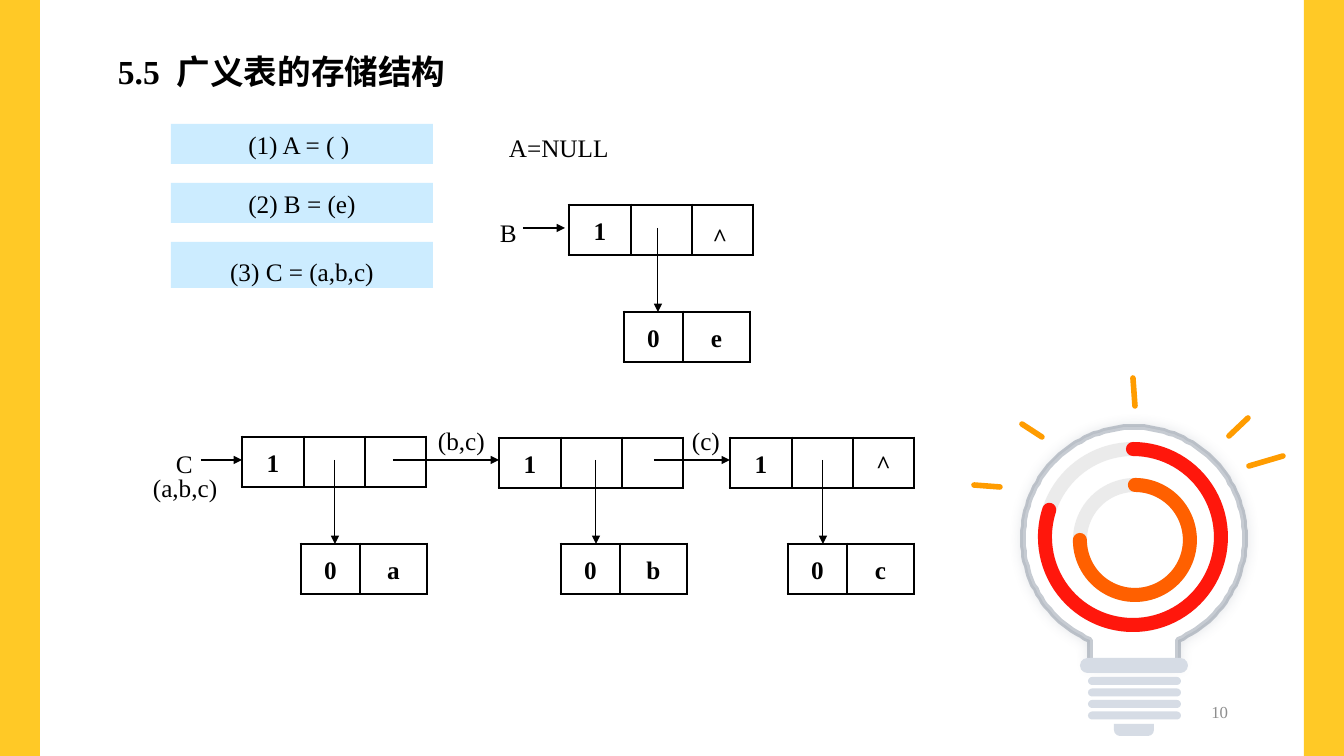
"""Slide on the storage structure of generalized lists, with node diagrams and a light bulb."""
import math
from lxml import etree
from pptx import Presentation, util as u
from pptx.dml.color import RGBColor
from pptx.enum import shapes, text
from pptx.oxml.ns import qn

PX = u.Inches(1) / 100.8
FONT = "Times New Roman"
BLACK = RGBColor(0, 0, 0)
WHITE = RGBColor(0xFF, 0xFF, 0xFF)
YELLOW = RGBColor(0xFF, 0xC9, 0x26)
PALE_BLUE = RGBColor(0xCC, 0xEC, 0xFF)
GREY = RGBColor(0x8E, 0x8E, 0x8E)
SLATE = RGBColor(0x44, 0x54, 0x6A)
SILVER = RGBColor(0xD6, 0xDC, 0xE5)
TRACK = RGBColor(0xD9, 0xD9, 0xD9)
RED = RGBColor(0xFF, 0x17, 0x0C)
ORANGE = RGBColor(0xFF, 0x60, 0x00)
AMBER = RGBColor(0xFF, 0x9C, 0x00)
LEFT, CENTER, RIGHT = text.PP_ALIGN.LEFT, text.PP_ALIGN.CENTER, text.PP_ALIGN.RIGHT
TOP, MIDDLE = text.MSO_ANCHOR.TOP, text.MSO_ANCHOR.MIDDLE
SHAPE = shapes.MSO_SHAPE


def write(frame, words, size=18, color=BLACK, bold=False, align=LEFT, spacing=1.0, anchor=TOP):
    frame.word_wrap = True
    frame.vertical_anchor = anchor
    paragraph = frame.paragraphs[0]
    paragraph.text = words
    paragraph.alignment = align
    paragraph.line_spacing = spacing
    paragraph.font.name = FONT
    paragraph.font.size = u.Pt(size)
    paragraph.font.bold = bold
    paragraph.font.color.rgb = color


def stroke(shape, color, width, opacity=100, arrow=False, cap="flat"):
    shape.line.color.rgb = color
    shape.line.width = u.Pt(width)
    properties = shape._element.spPr
    line = properties.find(qn("a:ln"))
    line.set("cap", cap)
    if opacity < 100:
        tint = line.find(".//" + qn("a:srgbClr"))
        etree.SubElement(tint, qn("a:alpha"), val=str(opacity * 1000))
    if arrow:
        etree.SubElement(line, qn("a:tailEnd"), type="triangle")
    return etree.SubElement(properties, qn("a:effectLst"))


presentation = Presentation()
presentation.slide_width = round(1344 * PX)
presentation.slide_height = round(756 * PX)
slide = presentation.slides.add_slide(presentation.slide_layouts[6])

blocks = [(SHAPE.RECTANGLE, x, 0, 40, 756, YELLOW) for x in (0, 1304)]
blocks += [(SHAPE.ROUNDED_RECTANGLE, 1088, 677 + 23 * i / 2, 93, 8, SILVER) for i in range(4)]
blocks += [(SHAPE.ROUNDED_RECTANGLE, 1080, 658, 108, 15, SILVER),
           (SHAPE.ROUND_2_SAME_RECTANGLE, 1114, 724, 40, 12, SILVER)]

definitions = [
    ("(1) A = ( ) ", 124, 40, 1.0),
    ("(2) B = (e)", 183, 40, 1.0),
    ("(3) C = (a,b,c)", 242, 46, 1.3),
]
for words, y, height, spacing in definitions:
    shape = slide.shapes.add_shape(
        SHAPE.RECTANGLE, *[round(n * PX) for n in (171, y, 262, height)])
    shape.shadow.inherit = False
    shape.fill.solid()
    shape.fill.fore_color.rgb = PALE_BLUE
    shape.line.fill.background()
    write(shape.text_frame, words, align=CENTER, spacing=spacing)

labels = [
    ("5.5  广义表的存储结构", 108, 34, 672, 57, dict(size=24, bold=True, spacing=1.3)),
    ("A=NULL", 499, 118, 328, 46, dict(spacing=1.3)),
    ("B", 490, 203, 42, 46, dict(spacing=1.3)),
    ("C", 166, 434, 42, 46, dict(spacing=1.3)),
    ("^", 699, 207, 42, 46, dict(bold=True, align=CENTER, spacing=1.3)),
    ("(a,b,c)", 143, 467, 98, 40, {}),
    ("(b,c)", 428, 420, 73, 40, {}),
    ("(c)", 682, 420, 69, 40, {}),
    ("10", 941, 694, 297, 35, dict(size=12, color=GREY, align=RIGHT, anchor=MIDDLE)),
]
for words, *box, style in labels:
    label = slide.shapes.add_textbox(*[round(n * PX) for n in box])
    write(label.text_frame, words, **style)

LIST_NODE, ATOM_NODE = (62, 61, 61), (59, 67)
nodes = [
    (569, 205, LIST_NODE, ("1", "", "")),
    (624, 312, ATOM_NODE, ("0", "e")),
    (242, 437, LIST_NODE, ("1", "", "")),
    (499, 438, LIST_NODE, ("1", "", "")),
    (730, 438, LIST_NODE, ("1", "", "^")),
    (301, 544, ATOM_NODE, ("0", "a")),
    (561, 544, ATOM_NODE, ("0", "b")),
    (788, 544, ATOM_NODE, ("0", "c")),
]
for x, y, widths, values in nodes:
    box = [round(n * PX) for n in (x, y, sum(widths), 50)]
    table = slide.shapes.add_table(1, len(widths), *box).table
    table.first_row = table.horz_banding = False
    last = len(widths) - 1
    for i, (width, value) in enumerate(zip(widths, values)):
        table.columns[i].width = round(width * PX)
        cell = table.cell(0, i)
        cell.fill.background()
        write(cell.text_frame, value, bold=True, align=CENTER, spacing=1.3)
        edges = {"a:lnL": 1 if i else 2.25, "a:lnR": 1 if i < last else 2.25,
                 "a:lnT": 2.25, "a:lnB": 2.25}
        for position, (tag, weight) in enumerate(edges.items()):
            edge = etree.Element(qn(tag), w=str(u.Pt(weight)))
            fill = etree.SubElement(edge, qn("a:solidFill"))
            etree.SubElement(fill, qn("a:srgbClr"), val=str(BLACK))
            cell._tc.tcPr.insert(position, edge)

arrows = [(523, 228, 565, 228), (658, 228, 658, 312),
          (201, 460, 242, 460), (393, 460, 499, 460), (654, 460, 730, 460)]
arrows += [(x, 460, x, 544) for x in (335, 596, 823)]
rays = [(1133, 378, 1135, 406), (1248, 418, 1229, 436), (1000, 487, 974, 485),
        (1022, 424, 1042, 437), (1283, 456, 1249, 466)]
black_arrow = dict(color=BLACK, width=0.75, arrow=True)
amber_ray = dict(color=AMBER, width=4, cap="rnd")
for ends, style in [(a, black_arrow) for a in arrows] + [(r, amber_ray) for r in rays]:
    connector = slide.shapes.add_connector(
        shapes.MSO_CONNECTOR.STRAIGHT, *[round(n * PX) for n in ends])
    stroke(connector, **style)

BULB_X, BULB_Y, BULB_RADIUS, NECK = 1134, 538, 111, 44
gap = math.degrees(math.asin(NECK / BULB_RADIUS))
outline = [(BULB_X - NECK, 665)]
for step in range(121):
    angle = math.radians(90 + gap + (360 - 2 * gap) * step / 120)
    outline.append((BULB_X + BULB_RADIUS * math.cos(angle), BULB_Y + BULB_RADIUS * math.sin(angle)))
outline.append((BULB_X + NECK, 665))
builder = slide.shapes.build_freeform(*outline[0], scale=PX)
builder.add_line_segments(outline[1:], close=True)
bulb = builder.convert_to_shape()
bulb.fill.solid()
bulb.fill.fore_color.rgb = WHITE
effects = stroke(bulb, SLATE, 4.13, opacity=30)
glow = etree.SubElement(effects, qn("a:outerShdw"), blurRad=str(u.Pt(10)), dist="0", algn="ctr")
tint = etree.SubElement(glow, qn("a:srgbClr"), val=str(SLATE))
etree.SubElement(tint, qn("a:alpha"), val="20000")

for kind, x, y, width, height, color in blocks:
    block = slide.shapes.add_shape(kind, *[round(n * PX) for n in (x, y, width, height)])
    block.shadow.inherit = False
    block.fill.solid()
    block.fill.fore_color.rgb = color
    block.line.fill.background()
    if kind == SHAPE.ROUNDED_RECTANGLE:
        block.adjustments[0] = 0.5
    elif kind == SHAPE.ROUND_2_SAME_RECTANGLE:
        block.adjustments[0], block.adjustments[1] = 0, 0.5

for x, y, size, color, end in [(1045, 449, 176, RED, 118.8), (1080, 485, 110, ORANGE, 108)]:
    box = [round(n * PX) for n in (x, y, size, size)]
    track = slide.shapes.add_shape(SHAPE.OVAL, *box)
    track.fill.background()
    stroke(track, TRACK, 10, opacity=50)
    gauge = slide.shapes.add_shape(SHAPE.ARC, *box)
    gauge.adjustments[0], gauge.adjustments[1] = 162, end
    gauge.fill.background()
    stroke(gauge, color, 10, cap="rnd")

presentation.save("out.pptx")
